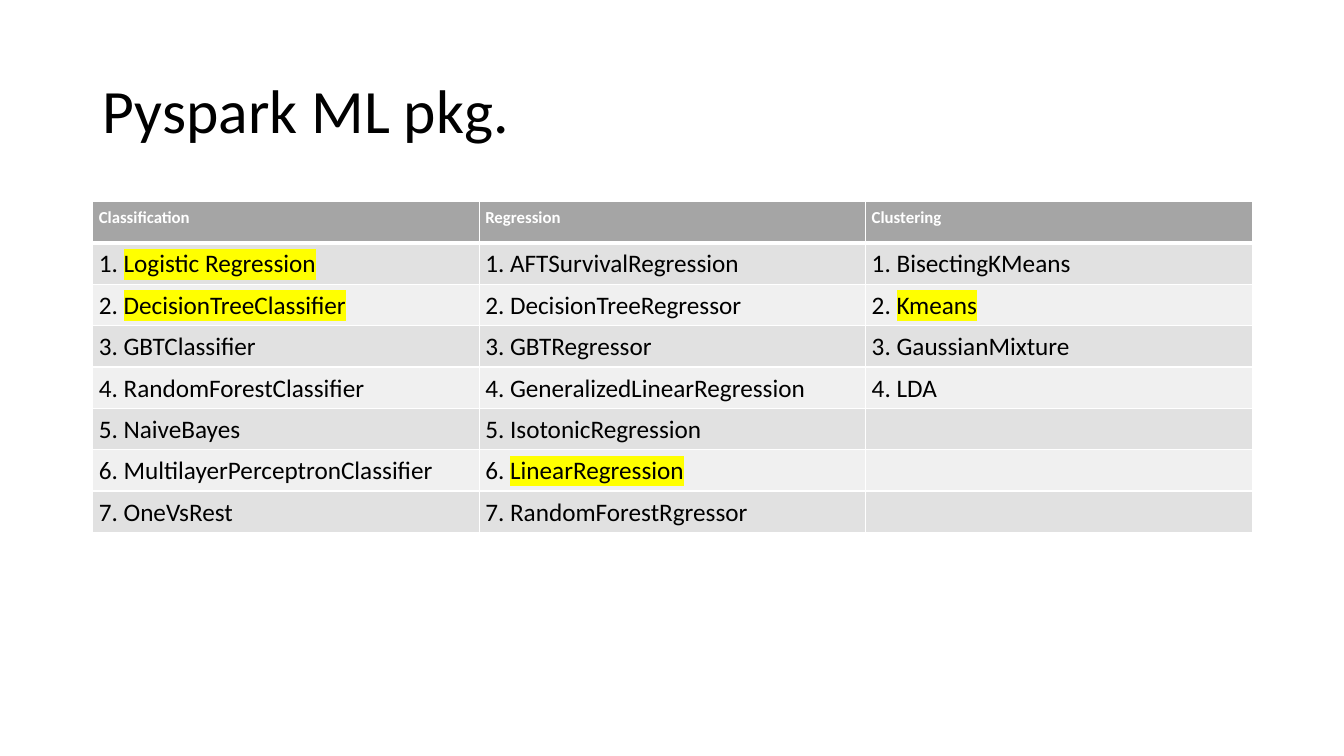
import dataclasses

import pptx
import pptx.dml.color
import pptx.enum.text
import pptx.oxml
import pptx.oxml.ns
import pptx.util
from pptx.util import Inches

FONT = "Calibri"
WHITE, BLACK, YELLOW = "FFFFFF", "000000", "FFFF00"
HEADER_FILL, BAND_FILLS = "A5A5A5", ("E1E1E1", "F0F0F0")
LEFT, WIDTH = 0.92, 11.5
TABLE_TOP, ROW_HEIGHT, ROWS = 2, 0.41, 8


@dataclasses.dataclass
class Category:
    title: str
    models: list[str]
    highlighted: set[str] = dataclasses.field(default_factory=set)


CATEGORIES = [
    Category(
        "Classification",
        ["Logistic Regression", "DecisionTreeClassifier", "GBTClassifier", "RandomForestClassifier",
         "NaiveBayes", "MultilayerPerceptronClassifier", "OneVsRest"],
        {"Logistic Regression", "DecisionTreeClassifier"},
    ),
    Category(
        "Regression",
        ["AFTSurvivalRegression", "DecisionTreeRegressor", "GBTRegressor", "GeneralizedLinearRegression",
         "IsotonicRegression", "LinearRegression", "RandomForestRgressor"],
        {"LinearRegression"},
    ),
    Category("Clustering", ["BisectingKMeans", "Kmeans", "GaussianMixture", "LDA"], {"Kmeans"}),
]


def rgb(color: str) -> pptx.dml.color.RGBColor:
    return pptx.dml.color.RGBColor.from_string(color)


def add_run(p, text: str, size: float, color: str, bold: bool = False, highlight: str = "") -> None:
    r = p.add_run()
    r.text = text
    r.font.size = pptx.util.Pt(size)
    r.font.bold = bold
    r.font.color.rgb = rgb(color)
    if highlight:
        r.font.fill
        r._r.get_or_add_rPr().append(pptx.oxml.parse_xml(
            f'<a:highlight {pptx.oxml.ns.nsdecls("a")}><a:srgbClr val="{highlight}"/></a:highlight>'))
    r.font.name = FONT


def style_cell(cell, fill: str, top: float, bottom: float) -> None:
    cell.margin_left = cell.margin_right = cell.margin_top = Inches(0.06)
    cell.margin_bottom = Inches(0.05)
    cell.fill.solid()
    cell.fill.fore_color.rgb = rgb(fill)
    tcPr = cell._tc.get_or_add_tcPr()
    widths = {"lnL": 1, "lnR": 1, "lnT": top, "lnB": bottom}
    for i, (tag, width) in enumerate(widths.items()):
        tcPr.insert(i, pptx.oxml.parse_xml(
            f'<a:{tag} {pptx.oxml.ns.nsdecls("a")} w="{pptx.util.Pt(width)}">'
            f'<a:solidFill><a:srgbClr val="{WHITE}"/></a:solidFill></a:{tag}>'))


def add_title(s, text: str) -> None:
    sp = s.shapes.add_textbox(Inches(LEFT), Inches(0.4), Inches(WIDTH), Inches(1.45))
    tf = sp.text_frame
    tf.word_wrap = True
    tf.vertical_anchor = pptx.enum.text.MSO_ANCHOR.MIDDLE
    p = tf.paragraphs[0]
    p.line_spacing = 0.9
    add_run(p, text, 44, BLACK)


def add_model_table(s, categories: list[Category]) -> None:
    table = s.shapes.add_table(
        ROWS, len(categories), Inches(LEFT), Inches(TABLE_TOP),
        Inches(WIDTH), Inches(ROW_HEIGHT * ROWS)).table
    for col, category in enumerate(categories):
        header = table.cell(0, col)
        style_cell(header, HEADER_FILL, 1, 3)
        add_run(header.text_frame.paragraphs[0], category.title, 12, WHITE, bold=True)
        for row in range(1, ROWS):
            cell = table.cell(row, col)
            style_cell(cell, BAND_FILLS[(row - 1) % 2], 3 if row == 1 else 1, 1)
            if row > len(category.models):
                continue
            model = category.models[row - 1]
            p = cell.text_frame.paragraphs[0]
            if model in category.highlighted:
                add_run(p, f"{row}. ", 18, BLACK)
                add_run(p, model, 18, BLACK, highlight=YELLOW)
            else:
                add_run(p, f"{row}. {model}", 18, BLACK)


def main() -> None:
    prs = pptx.Presentation()
    prs.slide_width, prs.slide_height = Inches(13.33), Inches(7.5)
    s = prs.slides.add_slide(prs.slide_layouts[6])
    add_title(s, "Pyspark ML pkg.")
    add_model_table(s, CATEGORIES)
    prs.save("out.pptx")


if __name__ == "__main__":
    main()
